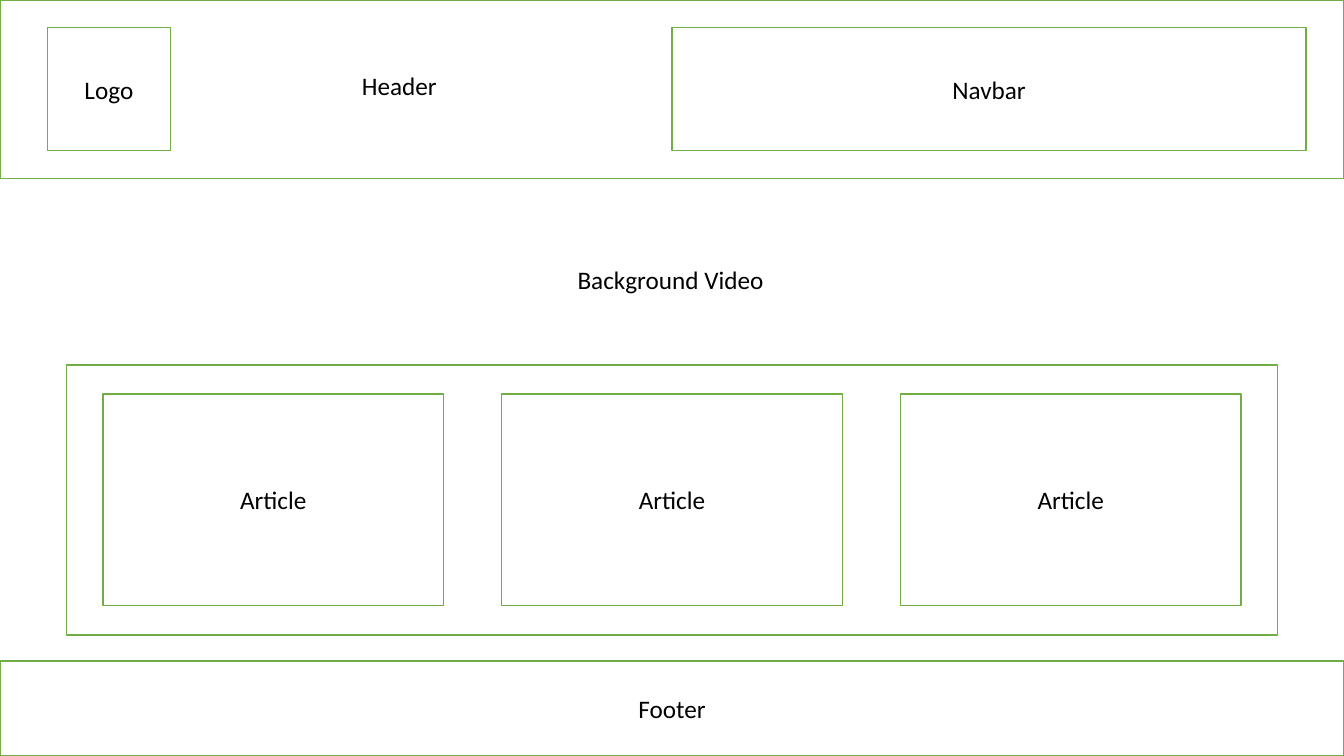
from pptx import Presentation
from pptx.dml.color import RGBColor
from pptx.enum.shapes import MSO_SHAPE as SHAPE
from pptx.enum.text import MSO_ANCHOR as ANCHOR, MSO_AUTO_SIZE as FIT, PP_ALIGN as ALIGN
from pptx.util import Inches, Pt

WIDTH, HEIGHT = 13.33, 7.5
GREEN, WHITE, BLACK = "70AD47", "FFFFFF", "000000"


def color(hex_code):
    """Turn a hex string into a colour."""
    return RGBColor.from_string(hex_code)


def write(tf, text, align):
    """Set the single line of a text frame."""
    p = tf.paragraphs[0]
    p.text, p.alignment = text, align
    p.font.name, p.font.size = "Calibri", Pt(18)
    p.font.color.rgb = color(BLACK)


def add_block(slide, box, text=""):
    """Draw an outlined block with an optional centred label."""
    sp = slide.shapes.add_shape(SHAPE.RECTANGLE, *map(Inches, box))
    sp.shadow.inherit = False
    sp.fill.solid()
    sp.fill.fore_color.rgb = color(WHITE)
    sp.line.color.rgb = color(GREEN)
    sp.line.width = Pt(1)
    if text:
        sp.text_frame.vertical_anchor = ANCHOR.MIDDLE
        write(sp.text_frame, text, ALIGN.CENTER)


def add_label(slide, box, text, wrap=True):
    """Place a free-standing left-aligned label."""
    tf = slide.shapes.add_textbox(*map(Inches, box)).text_frame
    tf.word_wrap, tf.auto_size = wrap, FIT.SHAPE_TO_FIT_TEXT
    write(tf, text, ALIGN.LEFT)


def add_header(slide, box):
    """Build the header with its logo block, title and navbar."""
    x, y, w, h = box
    side = 1.22
    top = y + (h - side) / 2
    add_block(slide, box)
    add_block(slide, (x + 0.47, top, side, side), "Logo")
    add_block(slide, (x + w / 2, top, 6.29, side), "Navbar")
    add_label(slide, (x + 3.49, y + 0.65, 2.39, 0.4), "Header")


def add_articles(slide, box, count=3):
    """Build the article panel as a row of equal cards."""
    x, y, w, h = box
    pad_x, pad_y, card_w = 0.36, 0.29, 3.38
    step = (w - 2 * pad_x - card_w) / (count - 1)
    add_block(slide, box)
    for i in range(count):
        card = (x + pad_x + i * step, y + pad_y, card_w, h - 2 * pad_y)
        add_block(slide, card, "Article")


def build():
    """Assemble the page layout and save it."""
    prs = Presentation()
    prs.slide_width, prs.slide_height = Inches(WIDTH), Inches(HEIGHT)
    slide = prs.slides.add_slide(prs.slide_layouts[6])
    margin, footer_h = 0.66, 0.94
    add_header(slide, (0, 0, WIDTH, 1.77))
    add_label(slide, (5.63, 2.57, 2.07, 0.4), "Background Video", wrap=False)
    add_articles(slide, (margin, 3.62, WIDTH - 2 * margin, 2.68))
    add_block(slide, (0, HEIGHT - footer_h, WIDTH, footer_h), "Footer")
    prs.save("out.pptx")


build()
